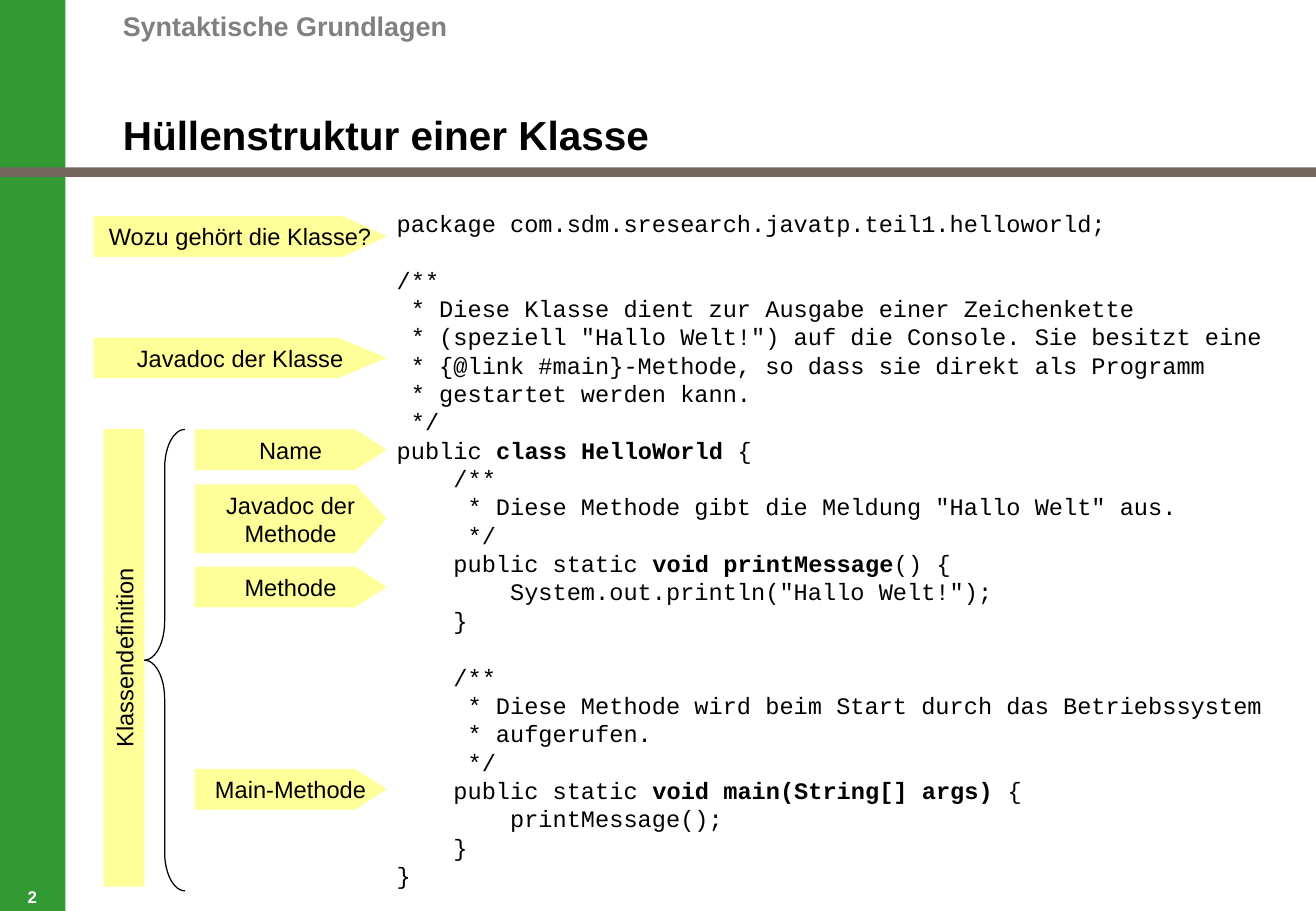
"""Build the slide on the outer structure of a Java class."""
from pptx import Presentation
from pptx.dml.color import RGBColor
from pptx.enum.shapes import MSO_SHAPE
from pptx.enum.text import MSO_ANCHOR, PP_ALIGN
from pptx.util import Cm, Pt

RECTANGLE, PENTAGON, BRACE = MSO_SHAPE.RECTANGLE, MSO_SHAPE.PENTAGON, MSO_SHAPE.LEFT_BRACE
TOP, MIDDLE, BOTTOM = MSO_ANCHOR.TOP, MSO_ANCHOR.MIDDLE, MSO_ANCHOR.BOTTOM
LEFT, CENTER = PP_ALIGN.LEFT, PP_ALIGN.CENTER
YELLOW, BLACK = "FFFF99", "000000"
LINE_HEIGHT = Pt(16.8)
BOLD_MARK = "¦"

CODE = """package com.sdm.sresearch.javatp.teil1.helloworld;

/**
 * Diese Klasse dient zur Ausgabe einer Zeichenkette
 * (speziell "Hallo Welt!") auf die Console. Sie besitzt eine
 * {@link #main}-Methode, so dass sie direkt als Programm
 * gestartet werden kann.
 */
public ¦class HelloWorld¦ {
    /**
     * Diese Methode gibt die Meldung "Hallo Welt" aus.
     */
    public static ¦void printMessage¦() {
        System.out.println("Hallo Welt!");
    }

    /**
     * Diese Methode wird beim Start durch das Betriebssystem
     * aufgerufen.
     */
    public static ¦void main(String[] args)¦ {
        printMessage();
    }
}"""

LABELS = [
    ("Wozu gehört die Klasse?", 1.96, 4.52, 0.85, 0.91),
    ("Javadoc der Klasse", 1.96, 7.06, 0.85, 1.02),
    ("Name", 4.07, 8.98, 0.85, 0.66),
    ("Javadoc der Methode", 4.07, 10.13, 1.44, 0.66),
    ("Methode", 4.07, 11.85, 0.85, 0.66),
    ("Main-Methode", 4.07, 16.08, 0.85, 0.66),
]
LABEL_RIGHT = 8.09

LABEL_FONT = {"name": "Arial", "size": Pt(14), "bold": False}
CODE_FONT = {"name": "Courier New", "size": Pt(14), "bold": False}
TITLE_FONT = {"name": "Arial", "size": Pt(24), "bold": True}
HEADER_FONT = {"name": "Arial", "size": Pt(16), "bold": True}
NUMBER_FONT = {"name": "Arial", "size": Pt(10), "bold": True}


def paint(fill, color):
    """Set a solid colour."""
    fill.solid()
    fill.fore_color.rgb = RGBColor.from_string(color)


def write(shape, text, font_format, color=BLACK, anchor=MIDDLE, align=CENTER,
          margin=0, spacing=None):
    """Write lines of text, with marked parts in bold."""
    frame = shape.text_frame
    frame_format = {"word_wrap": True, "vertical_anchor": anchor,
                    "margin_left": Cm(margin), "margin_right": Cm(margin),
                    "margin_top": Cm(margin / 2), "margin_bottom": Cm(margin / 2)}
    for name, value in frame_format.items():
        setattr(frame, name, value)
    paragraph, gap = None, 0
    for line in text.split("\n"):
        if not line:
            gap += LINE_HEIGHT
            continue
        paragraph = frame.add_paragraph() if paragraph else frame.paragraphs[0]
        paragraph.alignment = align
        paragraph.line_spacing = spacing
        if gap:
            paragraph.space_before = gap
        gap = 0
        for index, part in enumerate(line.split(BOLD_MARK)):
            run = paragraph.add_run()
            run.text = part
            for name, value in font_format.items():
                setattr(run.font, name, value)
            if index % 2:
                run.font.bold = True
            paint(run.font.fill, color)


presentation = Presentation()
presentation.slide_width, presentation.slide_height = Cm(27.53), Cm(19.05)
slide = presentation.slides.add_slide(presentation.slide_layouts[5])
shapes = slide.shapes

title = shapes.title
title.left, title.top, title.width, title.height = Cm(2.57), Cm(1.14), Cm(24.43), Cm(2.18)
write(title, "Hüllenstruktur einer Klasse", TITLE_FONT, anchor=BOTTOM, align=LEFT)

bars = [
    (0, 0, 1.37, 19.05, "339933"),
    (0, 3.5, 27.53, 0.2, "74655D"),
    (-2.19, 13.33, 9.57, 0.85, YELLOW),
]
for left, top, width, height, color in bars:
    bar = shapes.add_shape(RECTANGLE, Cm(left), Cm(top), Cm(width), Cm(height))
    bar.shadow.inherit = False
    paint(bar.fill, color)
    bar.line.fill.background()
bar.rotation = 270
write(bar, "Klassendefinition", LABEL_FONT, margin=0.25)

brace = shapes.add_shape(BRACE, Cm(3.02), Cm(8.98), Cm(0.85), Cm(9.65))
brace.shadow.inherit = False
brace.adjustments[0] = 0.95
brace.fill.background()
paint(brace.line.fill, BLACK)
brace.line.width = Pt(0.75)

for text, left, top, height, tip in LABELS:
    label = shapes.add_shape(PENTAGON, Cm(left), Cm(top), Cm(LABEL_RIGHT - left), Cm(height))
    label.shadow.inherit = False
    label.adjustments[0] = tip / height
    paint(label.fill, YELLOW)
    label.line.fill.background()
    write(label, text, LABEL_FONT, spacing=LINE_HEIGHT)
    label.text_frame.margin_left = Cm(tip / 2)
    label.text_frame.word_wrap = height > 1

text_boxes = [
    (2.57, 0.05, 20.96, 0.99, "Syntaktische Grundlagen", HEADER_FONT,
     {"color": "808080", "align": LEFT}),
    (8.05, 4.24, 18.92, 14.5, CODE, CODE_FONT,
     {"anchor": TOP, "align": LEFT, "margin": 0.25, "spacing": LINE_HEIGHT}),
    (0, 18.54, 1.35, 0.43, "2", NUMBER_FONT, {"color": "FFFFFF", "anchor": BOTTOM}),
]
for left, top, width, height, text, font_format, layout in text_boxes:
    box = shapes.add_textbox(Cm(left), Cm(top), Cm(width), Cm(height))
    write(box, text, font_format, **layout)

presentation.save("out.pptx")
